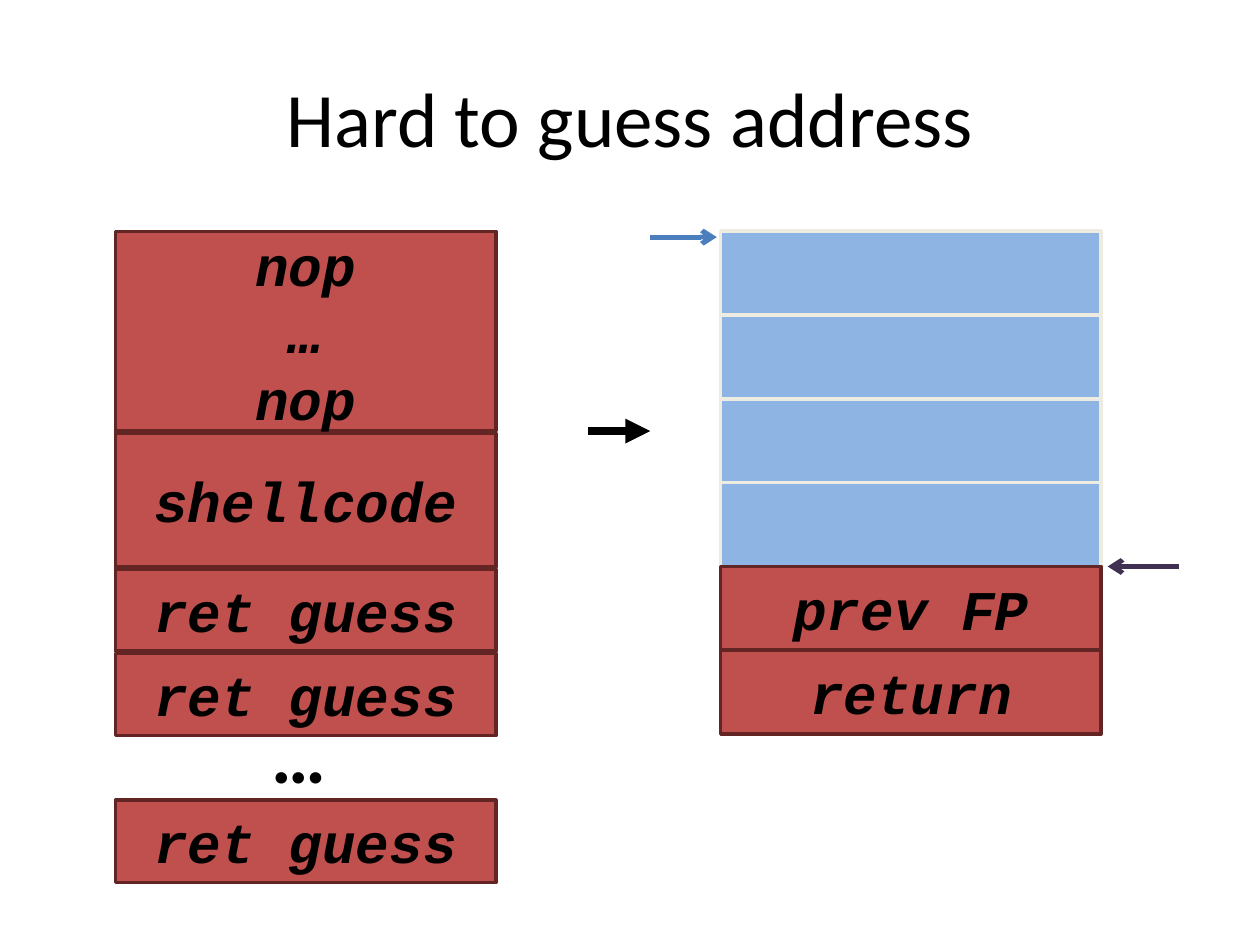
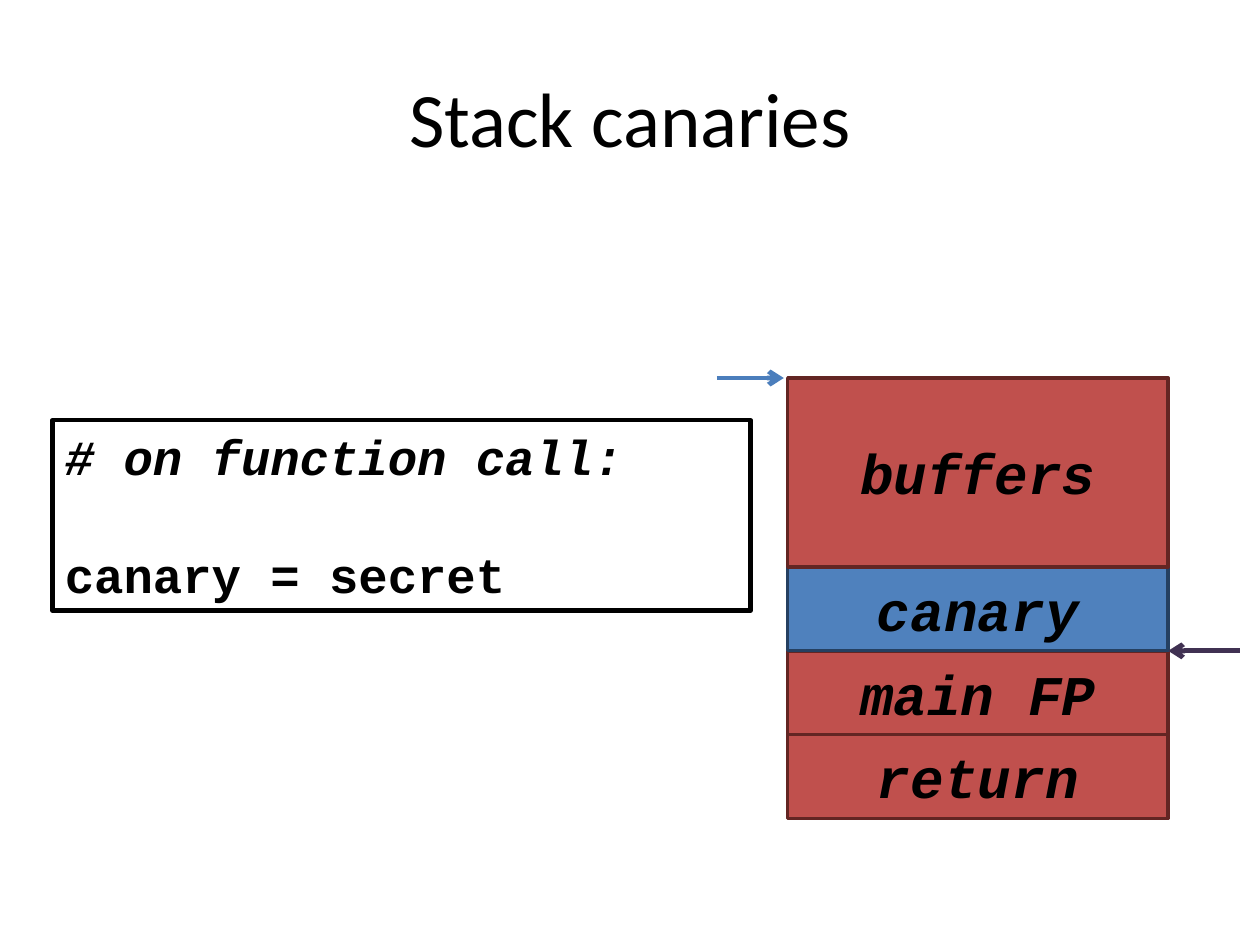
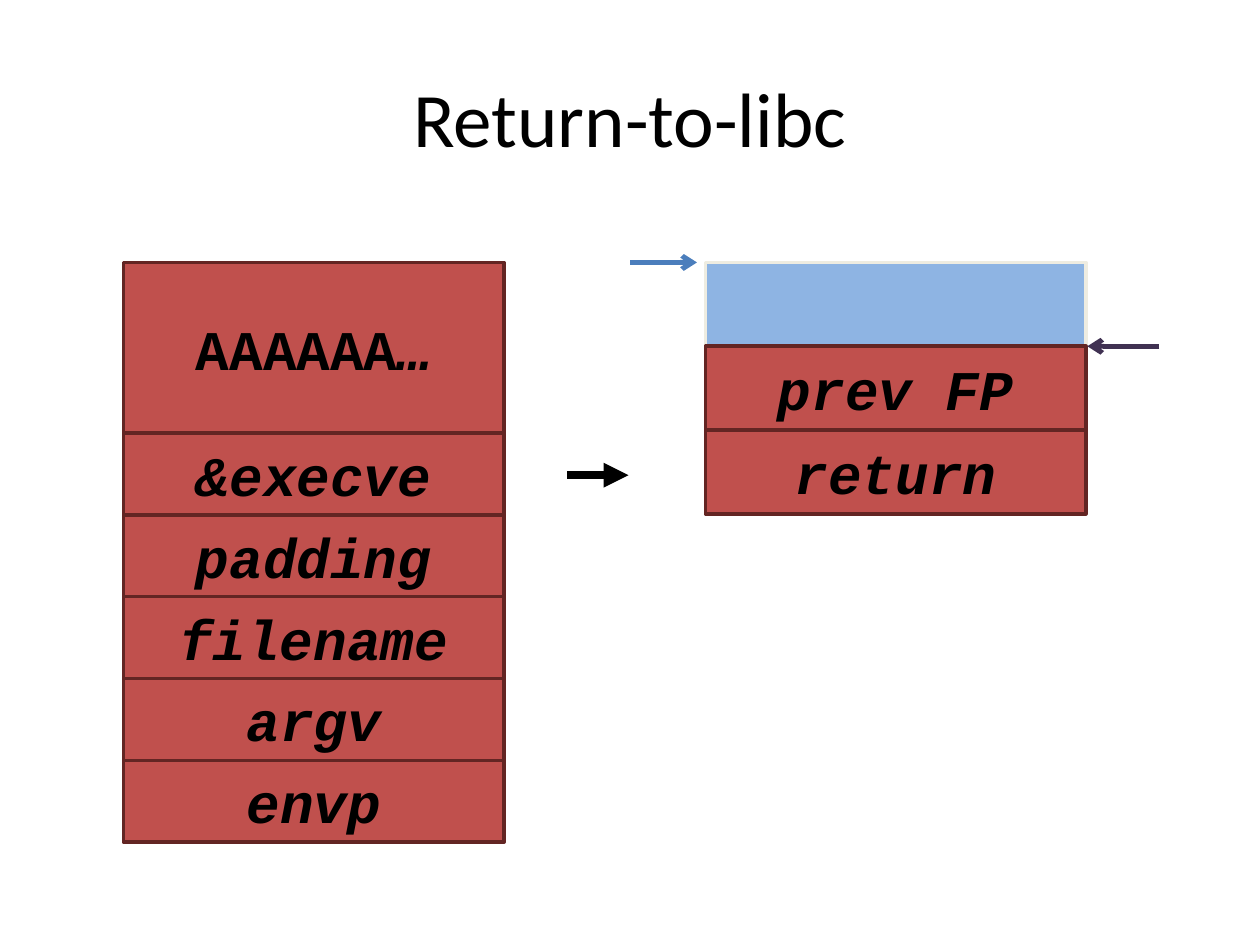
from dataclasses import dataclass
from typing import NamedTuple

from lxml.etree import SubElement
from pptx import Presentation
from pptx.dml.color import RGBColor
from pptx.enum.shapes import MSO_CONNECTOR, MSO_SHAPE
from pptx.enum.text import MSO_ANCHOR, PP_ALIGN
from pptx.oxml.ns import qn
from pptx.util import Cm, Pt

# Shared look
COLORS = {
    "text": "000000",
    "paper": "FFFFFF",
    "red": "C0504D",
    "red_edge": "632523",
    "free": "8EB4E3",
    "free_edge": "EEECE1",
    "canary": "4F81BD",
    "canary_edge": "254061",
    "stack_pointer": "4B7EBC",
    "frame_pointer": "403152",
}
TITLE_FONT, CODE_FONT = "Calibri", "Courier New"
CELL_WIDTH = 7.67
ROW = 1.69  # height of one stack word, in cm
PAYLOAD_ROW = 1.65


class Run(NamedTuple):
    text: str
    italic: bool = True


class Skin(NamedTuple):
    fill: str
    edge: str
    width: float = 2


class Arrow(NamedTuple):
    color: str
    width: float
    head: str


Paragraphs = list[list[Run]]

RED = Skin("red", "red_edge")
FREE = Skin("free", "free_edge")
CANARY = Skin("canary", "canary_edge")
CODE_BOX = Skin("paper", "text", 2.5)
STACK_POINTER = Arrow("stack_pointer", 2.75, "arrow")
FRAME_POINTER = Arrow("frame_pointer", 2.75, "arrow")
COPY_ARROW = Arrow("text", 4.75, "triangle")


@dataclass
class Cell:
    text: str | Paragraphs = ""
    height: float = ROW
    skin: Skin = RED

    def paragraphs(self) -> Paragraphs:
        return [[Run(self.text)]] if isinstance(self.text, str) else self.text


def rgb(name: str) -> RGBColor:
    return RGBColor.from_string(COLORS[name])


def style_run(r, font: str, size: float, bold: bool = False, italic: bool = False) -> None:
    r.font.name, r.font.size = font, Pt(size)
    r.font.bold, r.font.italic = bold, italic
    r.font.color.rgb = rgb("text")


def add_slide(prs, title: str):
    s = prs.slides.add_slide(prs.slide_layouts[5])
    sp = s.shapes.title
    sp.left, sp.top, sp.width, sp.height = Cm(1.27), Cm(0.76), Cm(22.86), Cm(3.18)
    tf = sp.text_frame
    tf.vertical_anchor = MSO_ANCHOR.MIDDLE
    p = tf.paragraphs[0]
    p.alignment = PP_ALIGN.CENTER
    r = p.add_run()
    r.text = title
    style_run(r, TITLE_FONT, 44)
    return s


def add_box(s, x: float, y: float, w: float, h: float, skin: Skin,
            paragraphs: Paragraphs, size: float = 32,
            align=PP_ALIGN.CENTER, anchor=MSO_ANCHOR.MIDDLE):
    sp = s.shapes.add_shape(MSO_SHAPE.RECTANGLE, Cm(x), Cm(y), Cm(w), Cm(h))
    sp.shadow.inherit = False
    sp.fill.solid()
    sp.fill.fore_color.rgb = rgb(skin.fill)
    sp.line.color.rgb = rgb(skin.edge)
    sp.line.width = Pt(skin.width)
    tf = sp.text_frame
    tf.word_wrap = True
    tf.vertical_anchor = anchor
    for i, runs in enumerate(paragraphs):
        p = tf.paragraphs[0] if i == 0 else tf.add_paragraph()
        p.alignment = align
        for text, italic in runs:
            if text == "\n":
                p.add_line_break()
            elif text:
                r = p.add_run()
                r.text = text
                style_run(r, CODE_FONT, size, bold=True, italic=italic)
    return sp


def add_stack(s, x: float, y: float, cells: list[Cell], gap: float = 0) -> float:
    """Draw cells downwards from y, upper cells in front; return the bottom edge."""
    tops = []
    for cell in cells:
        tops.append(y)
        y += cell.height + gap
    for cell, top in reversed(list(zip(cells, tops))):
        add_box(s, x, top, CELL_WIDTH, cell.height, cell.skin, cell.paragraphs())
    return y - gap


def add_arrow(s, x1: float, x2: float, y: float, arrow: Arrow) -> None:
    c = s.shapes.add_connector(MSO_CONNECTOR.STRAIGHT, Cm(x1), Cm(y), Cm(x2), Cm(y))
    c.line.color.rgb = rgb(arrow.color)
    c.line.width = Pt(arrow.width)
    SubElement(c.line._get_or_add_ln(), qn("a:tailEnd"), type=arrow.head)
    SubElement(c._element.spPr, qn("a:effectLst"))


def guess_slide(prs) -> None:
    s = add_slide(prs, "Hard to guess address")

    # Payload with nop sled
    left = 2.33
    sled = [[Run("nop"), Run("\n"), Run("…")], [Run("nop")]]
    guess = Cell("ret guess", 1.66)
    add_stack(s, left, 4.67, [Cell(sled, 4.02), Cell("shellcode", 2.7), guess, guess], 0.04)
    add_stack(s, left, 16.13, [guess])
    tf = s.shapes.add_textbox(Cm(5.23), Cm(14.12), Cm(1.88), Cm(2.13)).text_frame
    tf.word_wrap = False
    r = tf.paragraphs[0].add_run()
    r.text = "…"
    style_run(r, TITLE_FONT, 44, bold=True)

    # Stack frame
    frame = add_stack(s, 14.53, 4.66, [Cell(skin=FREE)] * 4)
    add_stack(s, 14.53, frame, [Cell("prev FP"), Cell("return")])
    add_arrow(s, 13.11, 14.45, 4.78, STACK_POINTER)
    add_arrow(s, 23.77, 22.33, frame, FRAME_POINTER)
    add_arrow(s, 11.86, 13.11, 8.69, COPY_ARROW)


def canary_slide(prs) -> None:
    s = add_slide(prs, "Stack canaries")

    # Stack frame
    top = 7.62
    frame = [Cell("buffers", 3.81), Cell("canary", skin=CANARY),
             Cell("main FP"), Cell("return")]
    add_stack(s, 15.88, top, frame)
    add_arrow(s, 14.45, 15.8, top, STACK_POINTER)
    add_arrow(s, 24.99, 23.55, top + 3.81 + ROW, FRAME_POINTER)

    # Code
    code = [[Run("# on function call:")], [Run("canary = secret", italic=False)]]
    sp = add_box(s, 1.06, 8.47, 14.07, 3.84, CODE_BOX, code, 28,
                 PP_ALIGN.LEFT, MSO_ANCHOR.TOP)
    sp.text_frame.paragraphs[1].space_before = Cm(1.19)


def libc_slide(prs) -> None:
    s = add_slide(prs, "Return-to-libc")
    top = 5.29

    # Payload
    filler = Cell([[Run("AAAAAA", italic=False), Run("…")]], 3.44)
    words = ["&execve", "padding", "filename", "argv", "envp"]
    add_stack(s, 2.49, top, [filler] + [Cell(word, PAYLOAD_ROW) for word in words])

    # Stack frame
    frame = add_stack(s, 14.22, top, [Cell(skin=FREE)])
    add_stack(s, 14.22, frame, [Cell("prev FP"), Cell("return")])
    add_arrow(s, 12.7, 14.05, top, STACK_POINTER)
    add_arrow(s, 23.37, 21.92, frame, FRAME_POINTER)
    add_arrow(s, 11.43, 12.67, 9.58, COPY_ARROW)


def main() -> None:
    prs = Presentation()
    prs.slide_width, prs.slide_height = Cm(25.4), Cm(19.05)
    guess_slide(prs)
    canary_slide(prs)
    libc_slide(prs)
    prs.save("out.pptx")


if __name__ == "__main__":
    main()
